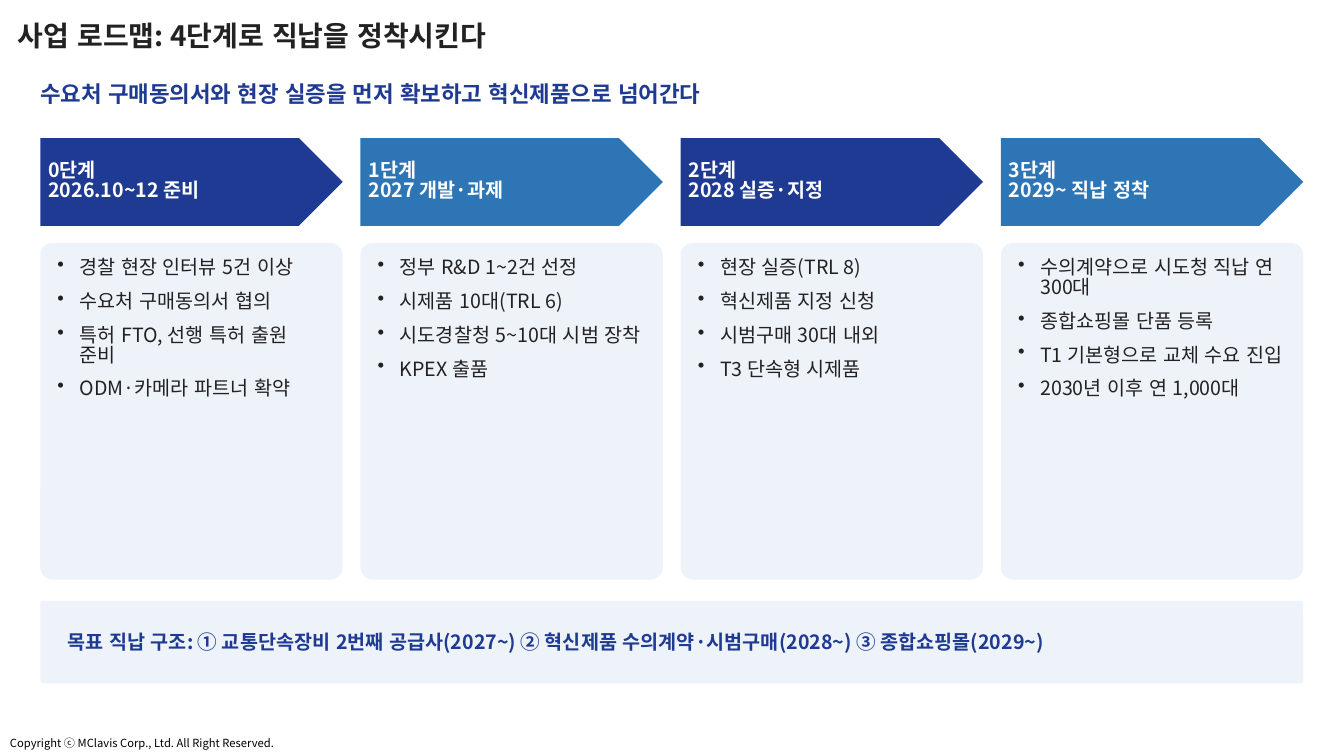
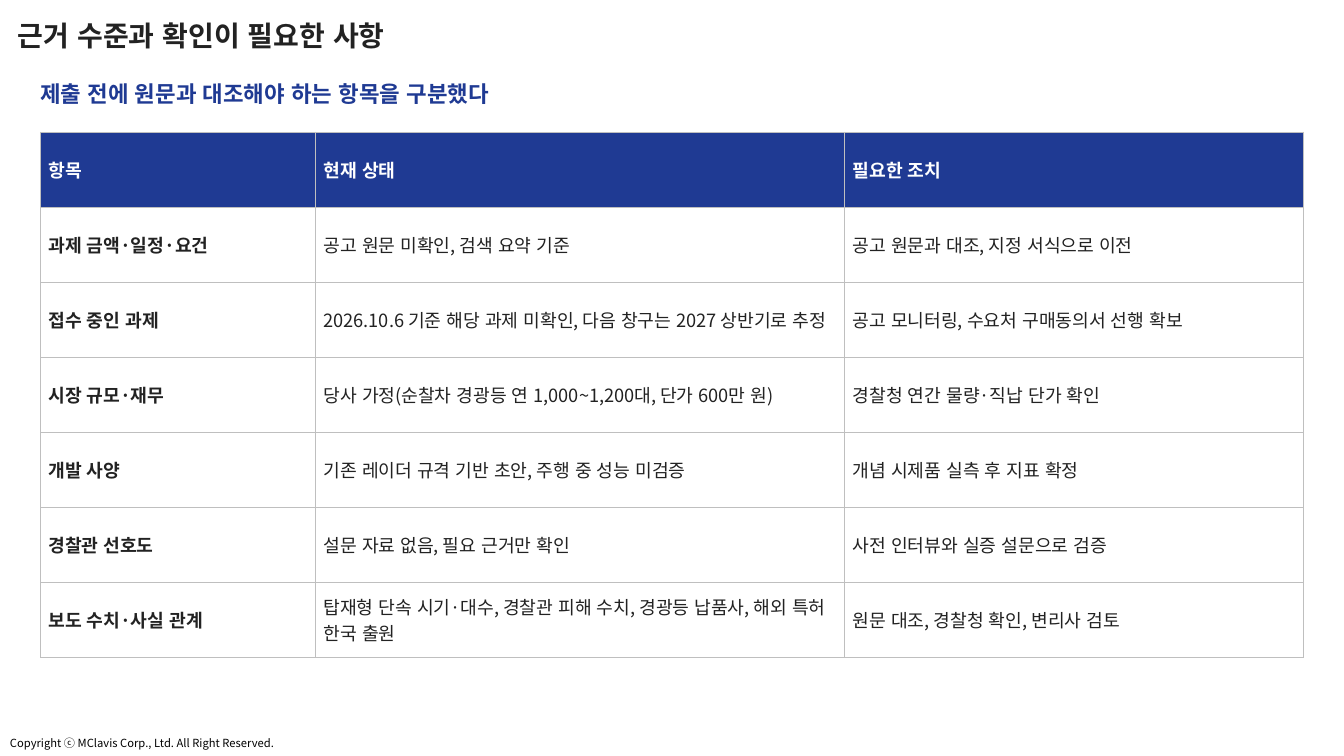
import pptx
import pptx.dml.color
import pptx.enum.lang
import pptx.enum.shapes
import pptx.enum.text
import pptx.oxml
import pptx.oxml.ns
import pptx.util

# Shared style
COLORS = {
    "navy": "1F3A93",
    "blue": "2E75B6",
    "pale": "EEF3FA",
    "ink": "222222",
    "border": "BFBFBF",
    "white": "FFFFFF",
    "black": "000000",
}
FONT = "Noto Sans CJK KR"
PX = 9144  # 100 px to the inch
LEFT, CONTENT_WIDTH = 40, 1253
TIGHT = 0.84  # line spacing inside the roadmap
MIDDLE = pptx.enum.text.MSO_ANCHOR.MIDDLE
TOP = pptx.enum.text.MSO_ANCHOR.TOP
SHAPES = pptx.enum.shapes.MSO_SHAPE

# Content
COPYRIGHT = "Copyright ⓒ MClavis Corp., Ltd. All Right Reserved."
STAGES = [
    ("0단계\n2026.10~12 준비",
     "경찰 현장 인터뷰 5건 이상\n수요처 구매동의서 협의\n"
     "특허 FTO, 선행 특허 출원 준비\nODM·카메라 파트너 확약"),
    ("1단계\n2027 개발·과제",
     "정부 R&D 1~2건 선정\n시제품 10대(TRL 6)\n"
     "시도경찰청 5~10대 시범 장착\nKPEX 출품"),
    ("2단계\n2028 실증·지정",
     "현장 실증(TRL 8)\n혁신제품 지정 신청\n"
     "시범구매 30대 내외\nT3 단속형 시제품"),
    ("3단계\n2029~ 직납 정착",
     "수의계약으로 시도청 직납 연 300대\n종합쇼핑몰 단품 등록\n"
     "T1 기본형으로 교체 수요 진입\n2030년 이후 연 1,000대"),
]
GOAL = ("목표 직납 구조: ① 교통단속장비 2번째 공급사(2027~) "
        "② 혁신제품 수의계약·시범구매(2028~) ③ 종합쇼핑몰(2029~)")
CHECKS = [
    ("항목", "현재 상태", "필요한 조치"),
    ("과제 금액·일정·요건", "공고 원문 미확인, 검색 요약 기준",
     "공고 원문과 대조, 지정 서식으로 이전"),
    ("접수 중인 과제", "2026.10.6 기준 해당 과제 미확인, 다음 창구는 2027 상반기로 추정",
     "공고 모니터링, 수요처 구매동의서 선행 확보"),
    ("시장 규모·재무", "당사 가정(순찰차 경광등 연 1,000~1,200대, 단가 600만 원)",
     "경찰청 연간 물량·직납 단가 확인"),
    ("개발 사양", "기존 레이더 규격 기반 초안, 주행 중 성능 미검증",
     "개념 시제품 실측 후 지표 확정"),
    ("경찰관 선호도", "설문 자료 없음, 필요 근거만 확인",
     "사전 인터뷰와 실증 설문으로 검증"),
    ("보도 수치·사실 관계",
     "탑재형 단속 시기·대수, 경찰관 피해 수치, 경광등 납품사, 해외 특허 한국 출원",
     "원문 대조, 경찰청 확인, 변리사 검토"),
]


def px(length):
    return pptx.util.Emu(round(length * PX))


def rgb(color):
    return pptx.dml.color.RGBColor.from_string(COLORS[color])


def sub_element(parent, tag, **attributes):
    element = pptx.oxml.parse_xml(f"<a:{tag} {pptx.oxml.ns.nsdecls('a')}/>")
    for name, value in attributes.items():
        element.set(name, str(value))
    parent.append(element)
    return element


# Text
def write_text(frame, text, size=14, color="ink", bold=False, after=0,
               spacing=None, bullet=False):
    """Write one paragraph for each line of text."""
    for index, line in enumerate(text.split("\n")):
        paragraph = frame.add_paragraph() if index else frame.paragraphs[0]
        paragraph.alignment = pptx.enum.text.PP_ALIGN.LEFT
        if bullet:
            properties = paragraph._p.get_or_add_pPr()
            properties.set("marL", str(px(22)))
            properties.set("indent", str(-px(22)))
            sub_element(properties, "buChar", char="•")
        paragraph.space_after = pptx.util.Pt(after)
        if spacing:
            paragraph.line_spacing = spacing
        run = paragraph.add_run()
        run.text = line
        font = run.font
        font.size = pptx.util.Pt(size)
        font.bold = bold
        font.color.rgb = rgb(color)
        font.name = FONT
        font.language_id = pptx.enum.lang.MSO_LANGUAGE_ID.KOREAN
        sub_element(run._r.get_or_add_rPr(), "ea", typeface=FONT)


def set_frame(frame, anchor, across, down):
    frame.word_wrap = True
    frame.vertical_anchor = anchor
    frame.margin_left = frame.margin_right = px(across)
    frame.margin_top = frame.margin_bottom = px(down)


def add_text(slide, text, left, top, width, height, anchor=MIDDLE,
             across=0, down=0, **text_format):
    box = slide.shapes.add_textbox(px(left), px(top), px(width), px(height))
    set_frame(box.text_frame, anchor, across, down)
    write_text(box.text_frame, text, **text_format)


# Shapes
def add_panel(slide, kind, left, top, width, height, fill):
    shape = slide.shapes.add_shape(kind, px(left), px(top), px(width), px(height))
    shape.shadow.inherit = False
    shape.fill.solid()
    shape.fill.fore_color.rgb = rgb(fill)
    shape.line.fill.background()
    if kind == SHAPES.ROUNDED_RECTANGLE:
        shape.adjustments[0] = 0.04
    return shape


def add_stage(slide, left, width, heading, tasks, color):
    arrow = add_panel(slide, SHAPES.PENTAGON, left, 137, width, 87, color)
    set_frame(arrow.text_frame, MIDDLE, 8, 3)
    write_text(arrow.text_frame, heading, color="white", bold=True, spacing=TIGHT)
    add_panel(slide, SHAPES.ROUNDED_RECTANGLE, left, 241, width, 334, "pale")
    add_text(slide, tasks, left + 17, 257, width - 35, 306, anchor=TOP,
             after=10, spacing=TIGHT, bullet=True)


# Table
def style_cell(cell, fill):
    properties = cell._tc.get_or_add_tcPr()
    for side in ("lnL", "lnR", "lnT", "lnB"):
        line = sub_element(properties, side, w=pptx.util.Pt(0.5))
        sub_element(sub_element(line, "solidFill"), "srgbClr", val=COLORS["border"])
    cell.fill.solid()
    cell.fill.fore_color.rgb = rgb(fill)
    cell.vertical_anchor = MIDDLE
    cell.margin_left = cell.margin_right = px(8)
    cell.margin_top = cell.margin_bottom = px(4)


def add_grid(slide, rows, left, top, widths, height):
    table = slide.shapes.add_table(len(rows), len(widths), px(left), px(top),
                                   px(sum(widths)), px(height)).table
    for column, width in zip(table.columns, widths):
        column.width = px(width)
    for row_index, row in enumerate(rows):
        header = row_index == 0
        table.rows[row_index].height = px(height / len(rows))
        for column_index, text in enumerate(row):
            cell = table.cell(row_index, column_index)
            style_cell(cell, "navy" if header else "white")
            write_text(cell.text_frame, text, size=13,
                       color="white" if header else "ink",
                       bold=header or column_index == 0)


# Slides
def add_slide(presentation, title, message):
    slide = presentation.slides.add_slide(presentation.slide_layouts[6])
    add_text(slide, COPYRIGHT, 0, 726, 400, 24, anchor=TOP, across=10, down=5,
             size=8, color="black")
    add_text(slide, title, 8, 18, 1150, 39, across=10, down=5,
             size=20, bold=True, spacing=0.9)
    add_text(slide, message, LEFT, 70, CONTENT_WIDTH, 46,
             size=16, color="navy", bold=True, after=4)
    return slide


def build_roadmap(presentation):
    slide = add_slide(presentation, "사업 로드맵: 4단계로 직납을 정착시킨다",
                      "수요처 구매동의서와 현장 실증을 먼저 확보하고 혁신제품으로 넘어간다")
    width = 300
    pitch = (CONTENT_WIDTH - width) / (len(STAGES) - 1)
    for index, (heading, tasks) in enumerate(STAGES):
        add_stage(slide, LEFT + index * pitch, width, heading, tasks,
                  ("navy", "blue")[index % 2])
    add_panel(slide, SHAPES.ROUNDED_RECTANGLE, LEFT, 596, CONTENT_WIDTH, 82, "pale")
    add_text(slide, GOAL, 67, 599, 1199, 75, color="navy", bold=True, after=4)


def build_checks(presentation):
    slide = add_slide(presentation, "근거 수준과 확인이 필요한 사항",
                      "제출 전에 원문과 대조해야 하는 항목을 구분했다")
    add_grid(slide, CHECKS, LEFT, 131, (273, 525, 455), 521)


def main():
    presentation = pptx.Presentation()
    presentation.slide_width = pptx.util.Emu(12192000)
    presentation.slide_height = px(750)
    build_roadmap(presentation)
    build_checks(presentation)
    presentation.save("out.pptx")


if __name__ == "__main__":
    main()
